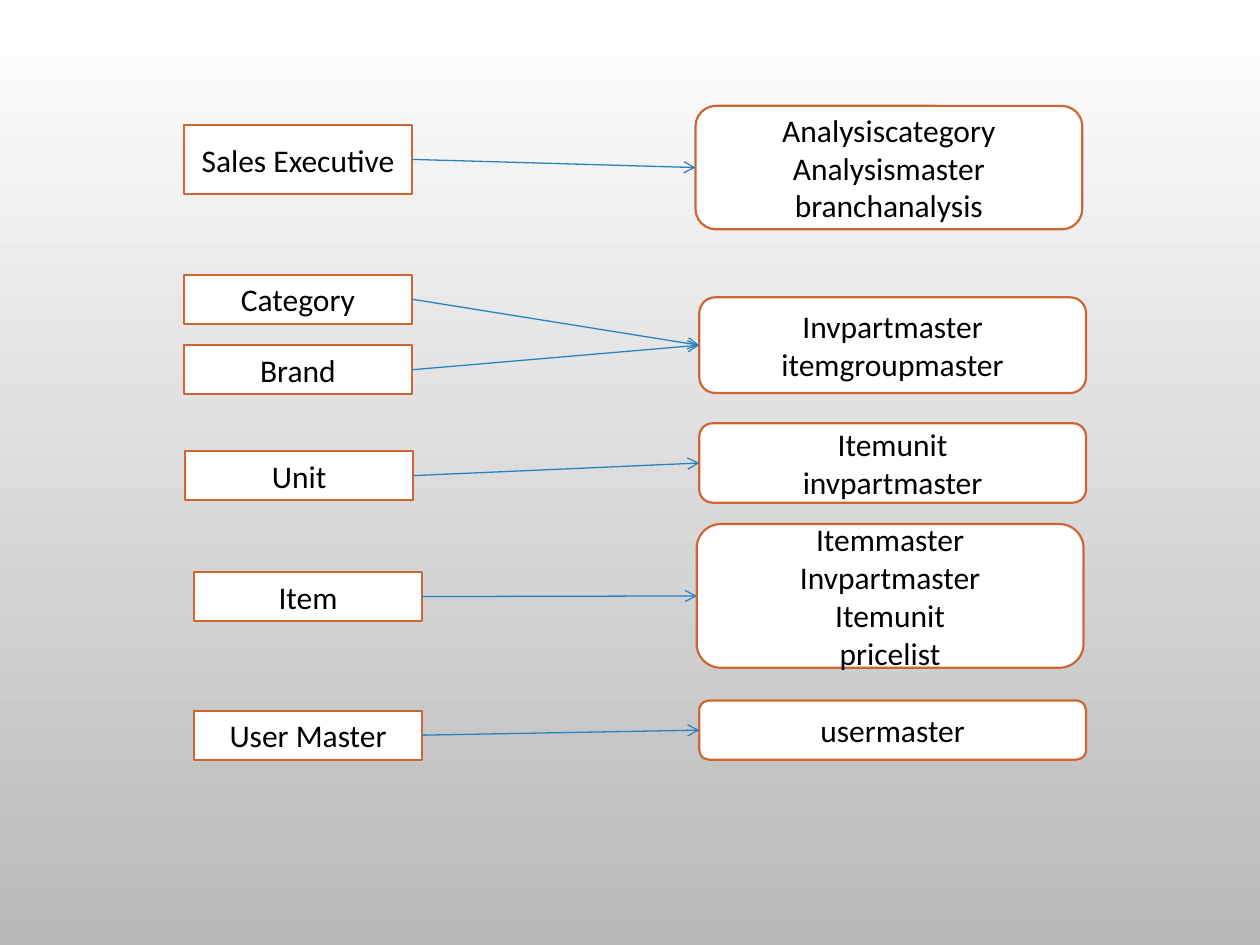
from dataclasses import dataclass

from lxml.etree import SubElement
from pptx import Presentation
from pptx.dml.color import RGBColor
from pptx.enum.shapes import MSO_CONNECTOR, MSO_SHAPE
from pptx.enum.text import MSO_ANCHOR, PP_ALIGN
from pptx.oxml.ns import qn
from pptx.shapes.autoshape import Shape
from pptx.slide import Slide
from pptx.util import Inches, Pt

WHITE = RGBColor(0xFF, 0xFF, 0xFF)
GREY = RGBColor(0xB9, 0xB9, 0xB9)
BLACK = RGBColor(0x00, 0x00, 0x00)
ORANGE = RGBColor(0xCE, 0x66, 0x33)
BLUE = RGBColor(0x26, 0x83, 0xBF)

COLUMNS, ROWS = 100, 75
WIDTH, HEIGHT = Inches(10), Inches(7.5)
SCREEN_WIDTH, TABLE_WIDTH = 18.1, 30.7  # columns
RIGHT_SITE, LEFT_SITE = 3, 1
FONT_FORMAT = {"name": "Calibri", "size": Pt(18)}


@dataclass(frozen=True)
class Node:
    """A box; left is in grid columns, top and height are in grid rows."""
    lines: tuple[str, ...]
    left: float
    top: float
    height: float = 3.9


@dataclass(frozen=True)
class Mapping:
    """Data-entry screens and the database tables that they write to."""
    screens: tuple[Node, ...]
    tables: Node


MAPPINGS = (
    Mapping((Node(("Sales Executive",), 14.6, 9.9, 5.5),),
            Node(("Analysiscategory", "Analysismaster", "branchanalysis"), 55.2, 8.4, 9.8)),
    Mapping((Node(("Category",), 14.6, 21.8), Node(("Brand",), 14.6, 27.4)),
            Node(("Invpartmaster", "itemgroupmaster"), 55.5, 23.6, 7.6)),
    Mapping((Node(("Unit",), 14.7, 35.8),),
            Node(("Itemunit", "invpartmaster"), 55.5, 33.6, 6.3)),
    Mapping((Node(("Item",), 15.4, 45.4),),
            Node(("Itemmaster", "Invpartmaster", "Itemunit", "pricelist"), 55.3, 41.6, 11.4)),
    Mapping((Node(("User Master",), 15.4, 56.4),),
            Node(("usermaster",), 55.5, 55.6, 4.7)),
)


def paint_background(page: Slide) -> None:
    fill = page.background.fill
    fill.gradient()
    fill.gradient_angle = 270
    for stop, color in zip(fill.gradient_stops, (WHITE, GREY)):
        stop.color.rgb = color


def draw_node(page: Slide, node: Node, preset: MSO_SHAPE, columns: float) -> Shape:
    column, row = WIDTH / COLUMNS, HEIGHT / ROWS
    box = page.shapes.add_shape(
        preset, round(node.left * column), round(node.top * row),
        round(columns * column), round(node.height * row))
    box.shadow.inherit = False
    box.fill.solid()
    box.fill.fore_color.rgb = WHITE
    box.line.color.rgb = ORANGE
    box.line.width = Pt(1.25)
    frame = box.text_frame
    frame.word_wrap = True
    frame.vertical_anchor = MSO_ANCHOR.MIDDLE
    frame.text = "\n".join(node.lines)
    for para in frame.paragraphs:
        para.alignment = PP_ALIGN.CENTER
        for span in para.runs:
            for name, value in FONT_FORMAT.items():
                setattr(span.font, name, value)
            span.font.color.rgb = BLACK
    return box


def draw_arrow(page: Slide, start: Shape, end: Shape) -> None:
    arrow = page.shapes.add_connector(MSO_CONNECTOR.STRAIGHT, 0, 0, 0, 0)
    arrow.begin_connect(start, RIGHT_SITE)
    arrow.end_connect(end, LEFT_SITE)
    arrow.line.color.rgb = BLUE
    arrow.line.width = Pt(0.75)
    SubElement(arrow.line._get_or_add_ln(), qn("a:tailEnd"), type="arrow")
    SubElement(arrow._element.spPr, qn("a:effectLst"))


def main() -> None:
    deck = Presentation()
    deck.slide_width, deck.slide_height = WIDTH, HEIGHT
    page = deck.slides.add_slide(deck.slide_layouts[6])
    paint_background(page)
    for mapping in MAPPINGS:
        tables = draw_node(page, mapping.tables, MSO_SHAPE.ROUNDED_RECTANGLE, TABLE_WIDTH)
        for node in mapping.screens:
            screen = draw_node(page, node, MSO_SHAPE.RECTANGLE, SCREEN_WIDTH)
            draw_arrow(page, screen, tables)
    deck.save("out.pptx")


if __name__ == "__main__":
    main()
